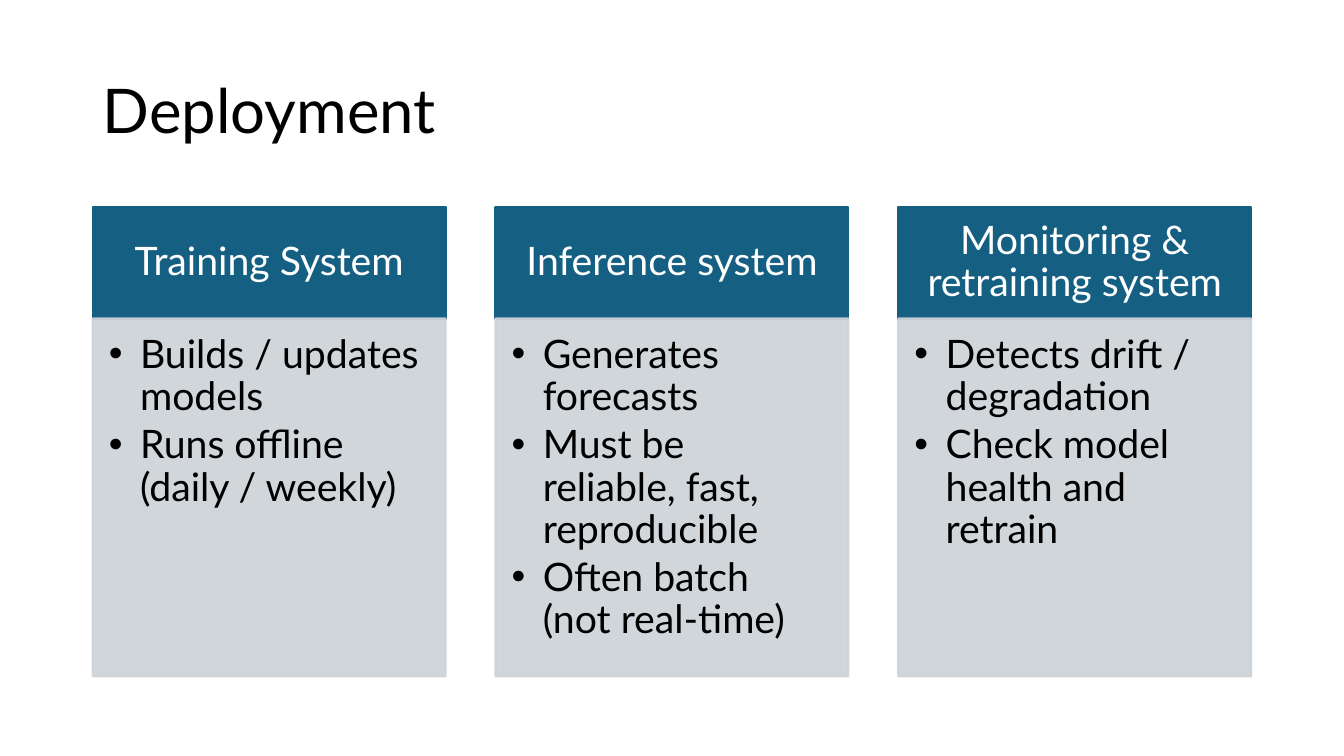
"""Build the Deployment slide: three systems, each a header above a bullet panel."""
from lxml.etree import SubElement
from pptx import Presentation
from pptx.dml.color import RGBColor
from pptx.enum.shapes import MSO_SHAPE
from pptx.enum.text import MSO_ANCHOR, MSO_AUTO_SIZE, PP_ALIGN
from pptx.oxml.ns import qn
from pptx.util import Inches, Pt

TITLE = "Deployment"
SYSTEMS = [
    ("Training System", ["Builds / updates models", "Runs offline (daily / weekly)"]),
    ("Inference system", ["Generates forecasts", "Must be reliable, fast, reproducible",
                          "Often batch (not real-time)"]),
    ("Monitoring & retraining system", ["Detects drift / degradation",
                                        "Check model health and retrain"]),
]

FONT = "Lato"
BLACK = RGBColor(0x00, 0x00, 0x00)
WHITE = RGBColor(0xFF, 0xFF, 0xFF)
TEAL = RGBColor(0x15, 0x60, 0x82)
GREY = RGBColor(0xCC, 0xD2, 0xD8)

SLIDE_WIDTH, SLIDE_HEIGHT = 13.33, 7.5
MARGIN, CONTENT_WIDTH = 0.92, 11.49
TITLE_TOP, TITLE_HEIGHT = 0.4, 1.45
COLUMN_WIDTH = 3.5
COLUMN_STEP = (CONTENT_WIDTH - COLUMN_WIDTH) / (len(SYSTEMS) - 1)
HEADER_TOP, HEADER_HEIGHT, PANEL_HEIGHT = 2.05, 1.11, 3.55
HEADER_INSETS = (0.22, 0.12, 0.22, 0.12)
PANEL_INSETS = (0.16, 0.16, 0.22, 0.24)
BULLET_INDENT = 0.31


def write(para, text, size, color, align):
    """Add one styled run to a paragraph."""
    para.alignment = align
    para.line_spacing = 0.9
    span = para.add_run()
    span.text = text
    span.font.name = FONT
    span.font.size = Pt(size)
    span.font.color.rgb = color


def add_bullet(para):
    """Give a paragraph a hanging round bullet."""
    properties = para._p.get_or_add_pPr()
    properties.set("marL", str(Inches(BULLET_INDENT)))
    properties.set("indent", str(-Inches(BULLET_INDENT)))
    SubElement(properties, qn("a:buFont"), typeface="Arial")
    SubElement(properties, qn("a:buChar"), char="•")


def add_block(page, left, top, height, color, insets, anchor):
    """Add a filled rectangle one column wide, ready for text."""
    block = page.shapes.add_shape(MSO_SHAPE.RECTANGLE, Inches(left), Inches(top),
                                  Inches(COLUMN_WIDTH), Inches(height))
    block.shadow.inherit = False
    block.fill.solid()
    block.fill.fore_color.rgb = color
    block.line.color.rgb = color
    block.line.width = Pt(1.5)
    frame = block.text_frame
    frame.word_wrap = True
    frame.vertical_anchor = anchor
    (frame.margin_left, frame.margin_top,
     frame.margin_right, frame.margin_bottom) = map(Inches, insets)
    return block


def add_system(page, left, name, duties):
    """Add one column: header and bullet panel."""
    header = add_block(page, left, HEADER_TOP, HEADER_HEIGHT, TEAL,
                       HEADER_INSETS, MSO_ANCHOR.MIDDLE)
    write(header.text_frame.paragraphs[0], name, 28, WHITE, PP_ALIGN.CENTER)

    panel = add_block(page, left, HEADER_TOP + HEADER_HEIGHT, PANEL_HEIGHT, GREY,
                      PANEL_INSETS, MSO_ANCHOR.TOP)
    for color in panel._element.spPr.iter(qn("a:srgbClr")):
        SubElement(color, qn("a:alpha"), val="90000")
    frame = panel.text_frame
    for index, duty in enumerate(duties):
        para = frame.add_paragraph() if index else frame.paragraphs[0]
        add_bullet(para)
        para.space_after = Pt(4)
        write(para, duty, 28, BLACK, PP_ALIGN.LEFT)


def main():
    """Create and save the deck."""
    deck = Presentation()
    deck.slide_width, deck.slide_height = Inches(SLIDE_WIDTH), Inches(SLIDE_HEIGHT)
    page = deck.slides.add_slide(deck.slide_layouts[5])

    title = page.shapes.title
    title.left, title.top = Inches(MARGIN), Inches(TITLE_TOP)
    title.width, title.height = Inches(CONTENT_WIDTH), Inches(TITLE_HEIGHT)
    title.text_frame.auto_size = MSO_AUTO_SIZE.NONE
    title.text_frame.vertical_anchor = MSO_ANCHOR.MIDDLE
    write(title.text_frame.paragraphs[0], TITLE, 44, BLACK, PP_ALIGN.LEFT)

    for column, (name, duties) in enumerate(SYSTEMS):
        add_system(page, MARGIN + column * COLUMN_STEP, name, duties)
    deck.save("out.pptx")


if __name__ == "__main__":
    main()
